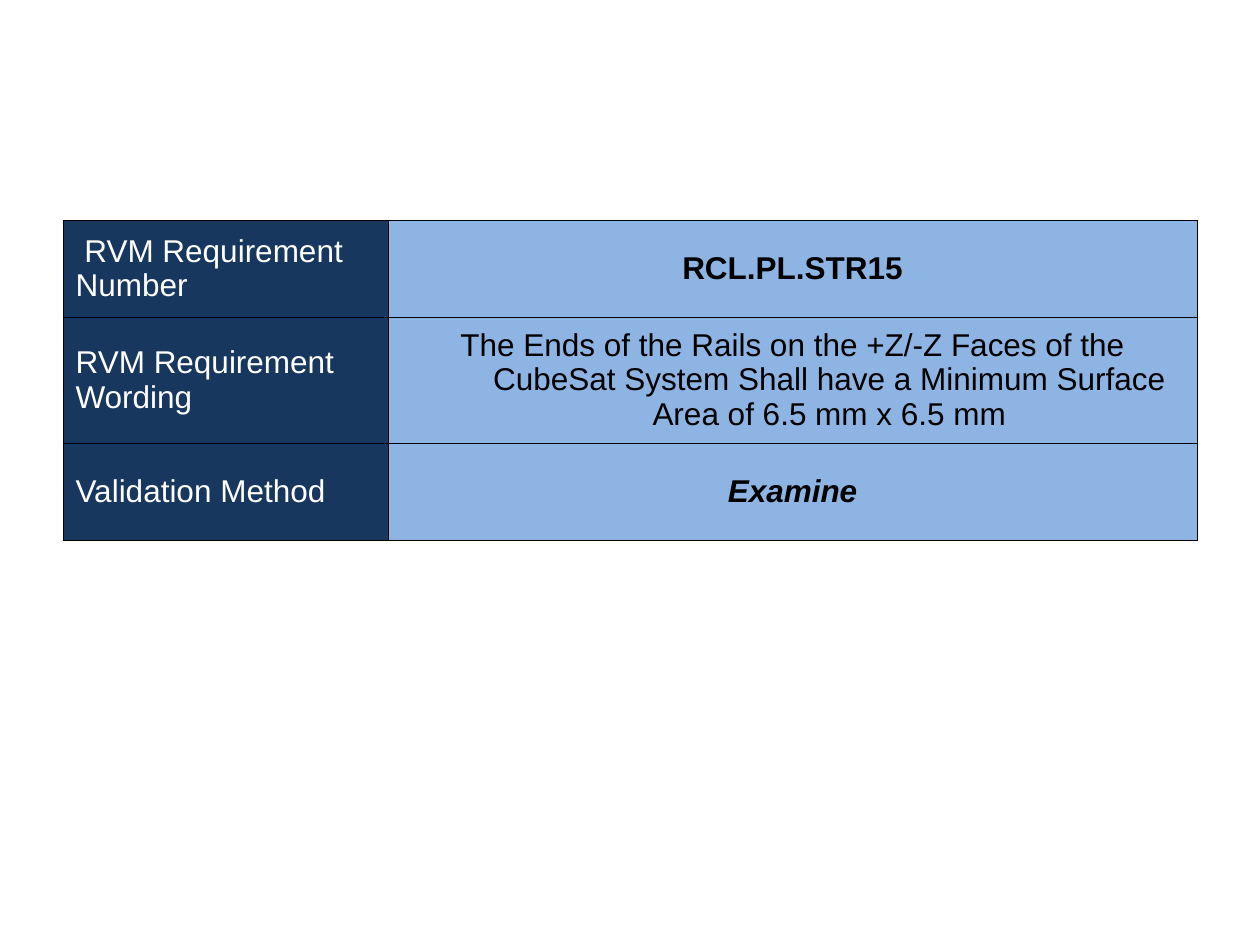
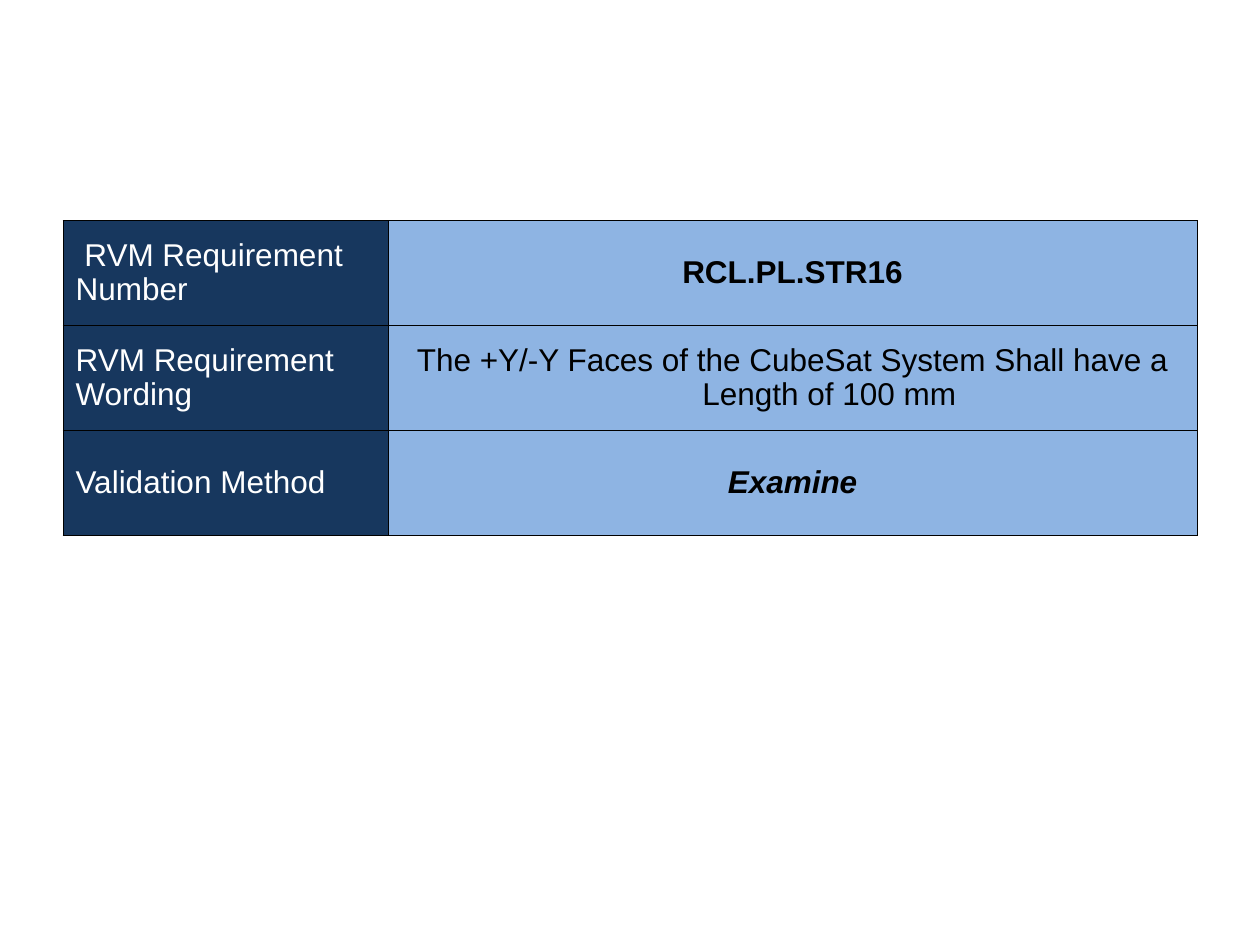
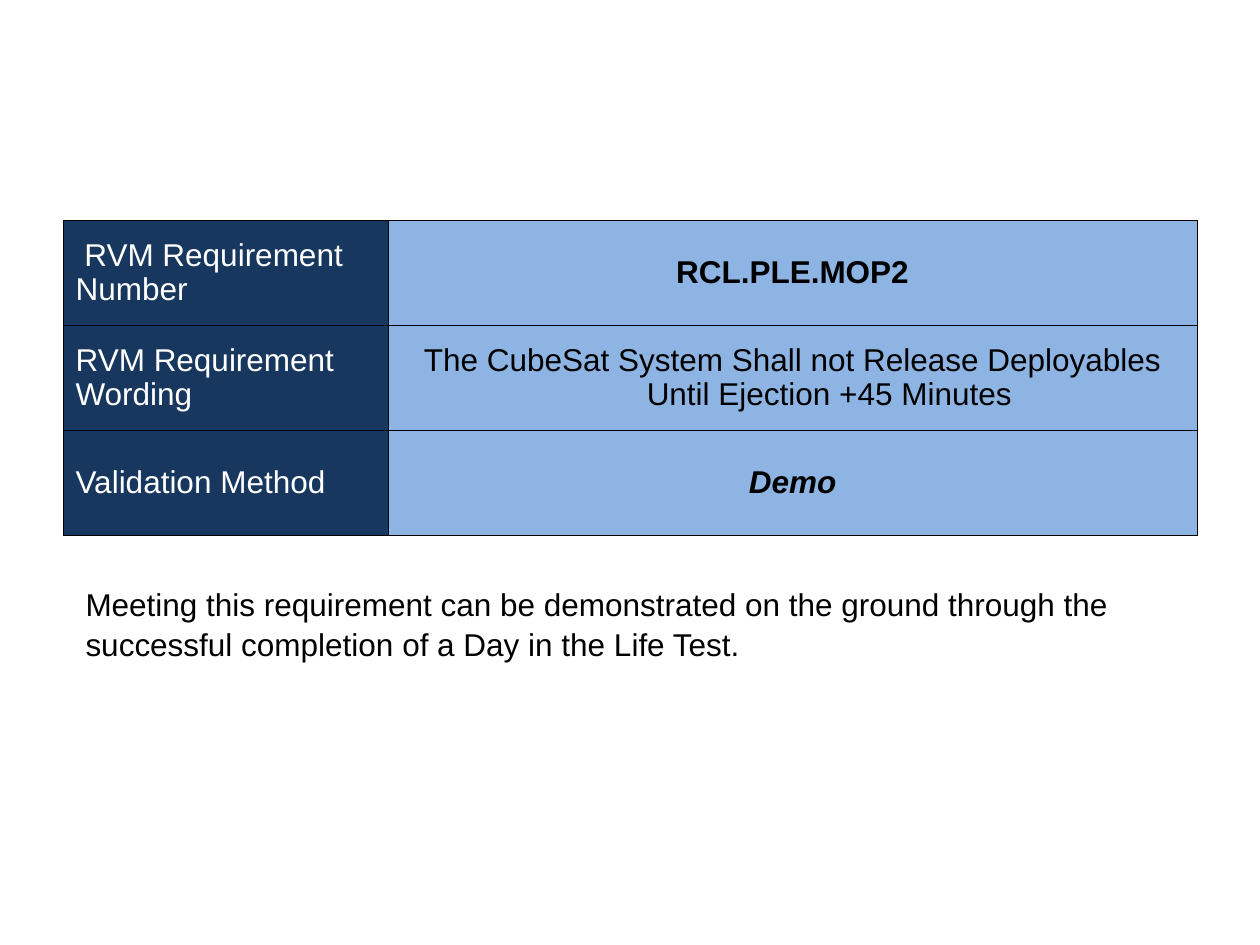
from lxml.etree import SubElement
from pptx import Presentation
from pptx.dml.color import RGBColor
from pptx.enum.text import MSO_ANCHOR, PP_ALIGN
from pptx.oxml.ns import qn
from pptx.util import Pt

FONT = "Arial"
BLACK, WHITE, NAVY, SKY = "000000", "FFFFFF", "17375E", "8EB4E3"
LABELS = [" RVM Requirement Number", "RVM Requirement Wording", "Validation Method"]
COLUMN_WIDTHS = [185.8, 462.2]
EVEN_ROWS = [60, 60, 60]
TALL_WORDING_ROWS = [55.5, 72, 55.5]
LABEL_FORMAT = {"color": WHITE}
VALUE_FORMATS = [
    {"bold": True, "align": PP_ALIGN.CENTER},
    {"align": PP_ALIGN.CENTER, "hanging": 42},
    {"bold": True, "italic": True, "align": PP_ALIGN.CENTER},
]

REQUIREMENTS = [
    {"values": ["RCL.PL.STR15",
                "The Ends of the Rails on the +Z/-Z Faces of the CubeSat System "
                "Shall have a Minimum Surface Area of 6.5 mm x 6.5 mm",
                "Examine"],
     "row_heights": TALL_WORDING_ROWS},
    {"values": ["RCL.PL.STR16",
                "The +Y/-Y Faces of the CubeSat System Shall have a Length of 100 mm",
                "Examine"],
     "row_heights": EVEN_ROWS},
    {"values": ["RCL.PLE.MOP2",
                "The CubeSat System Shall not Release Deployables "
                "Until Ejection +45 Minutes",
                "Demo"],
     "row_heights": EVEN_ROWS,
     "note": "Meeting this requirement can be demonstrated on the ground through "
             "the successful completion of a Day in the Life Test."},
]


def rgb(color):
    return RGBColor.from_string(color)


class RequirementDeck:
    def __init__(self):
        self.presentation = Presentation()
        self.presentation.slide_width = Pt(720)
        self.presentation.slide_height = Pt(540)
        self.slide = None

    def add_slide(self):
        self.slide = self.presentation.slides.add_slide(
            self.presentation.slide_layouts[6])

    def set_text(self, text_frame, text, color=BLACK, bold=False, italic=False,
                 align=PP_ALIGN.LEFT, line_spacing=0.98, hanging=0):
        """Fill the first paragraph; hanging is the indent of its later lines."""
        paragraph = text_frame.paragraphs[0]
        paragraph.alignment = align
        paragraph.line_spacing = line_spacing
        if hanging:
            properties = paragraph._p.get_or_add_pPr()
            properties.set("marL", str(Pt(hanging)))
            properties.set("indent", str(-Pt(hanging)))
        run = paragraph.add_run()
        run.text = text
        font_values = {"name": FONT, "size": Pt(18), "bold": bold, "italic": italic}
        for name, value in font_values.items():
            setattr(run.font, name, value)
        run.font.color.rgb = rgb(color)

    def add_borders(self, cell):
        properties = cell._tc.get_or_add_tcPr()
        for side in ("a:lnL", "a:lnR", "a:lnT", "a:lnB"):
            line = SubElement(properties, qn(side), w=str(Pt(0.45)))
            fill = SubElement(line, qn("a:solidFill"))
            SubElement(fill, qn("a:srgbClr"), val=BLACK)

    def fill_cell(self, cell, text, fill, text_format):
        self.add_borders(cell)
        cell.fill.solid()
        cell.fill.fore_color.rgb = rgb(fill)
        cell.vertical_anchor = MSO_ANCHOR.MIDDLE
        self.set_text(cell.text_frame, text, **text_format)

    def add_requirement_table(self, values, row_heights):
        table = self.slide.shapes.add_table(
            len(LABELS), len(COLUMN_WIDTHS), Pt(36), Pt(126),
            Pt(sum(COLUMN_WIDTHS)), Pt(sum(row_heights))).table
        table.first_row = table.horz_banding = False
        for column, width in zip(table.columns, COLUMN_WIDTHS):
            column.width = Pt(width)
        rows = zip(table.rows, row_heights, LABELS, values, VALUE_FORMATS)
        for row, height, label, value, value_format in rows:
            row.height = Pt(height)
            label_cell, value_cell = row.cells
            self.fill_cell(label_cell, label, NAVY, LABEL_FORMAT)
            self.fill_cell(value_cell, value, SKY, value_format)

    def add_note(self, text):
        text_box = self.slide.shapes.add_textbox(Pt(41.8), Pt(329.8), Pt(648), Pt(50.4))
        text_box.text_frame.word_wrap = True
        self.set_text(text_box.text_frame, text, line_spacing=1.05)


def main():
    deck = RequirementDeck()
    for requirement in REQUIREMENTS:
        deck.add_slide()
        deck.add_requirement_table(requirement["values"], requirement["row_heights"])
        if "note" in requirement:
            deck.add_note(requirement["note"])
    deck.presentation.save("out.pptx")


if __name__ == "__main__":
    main()
